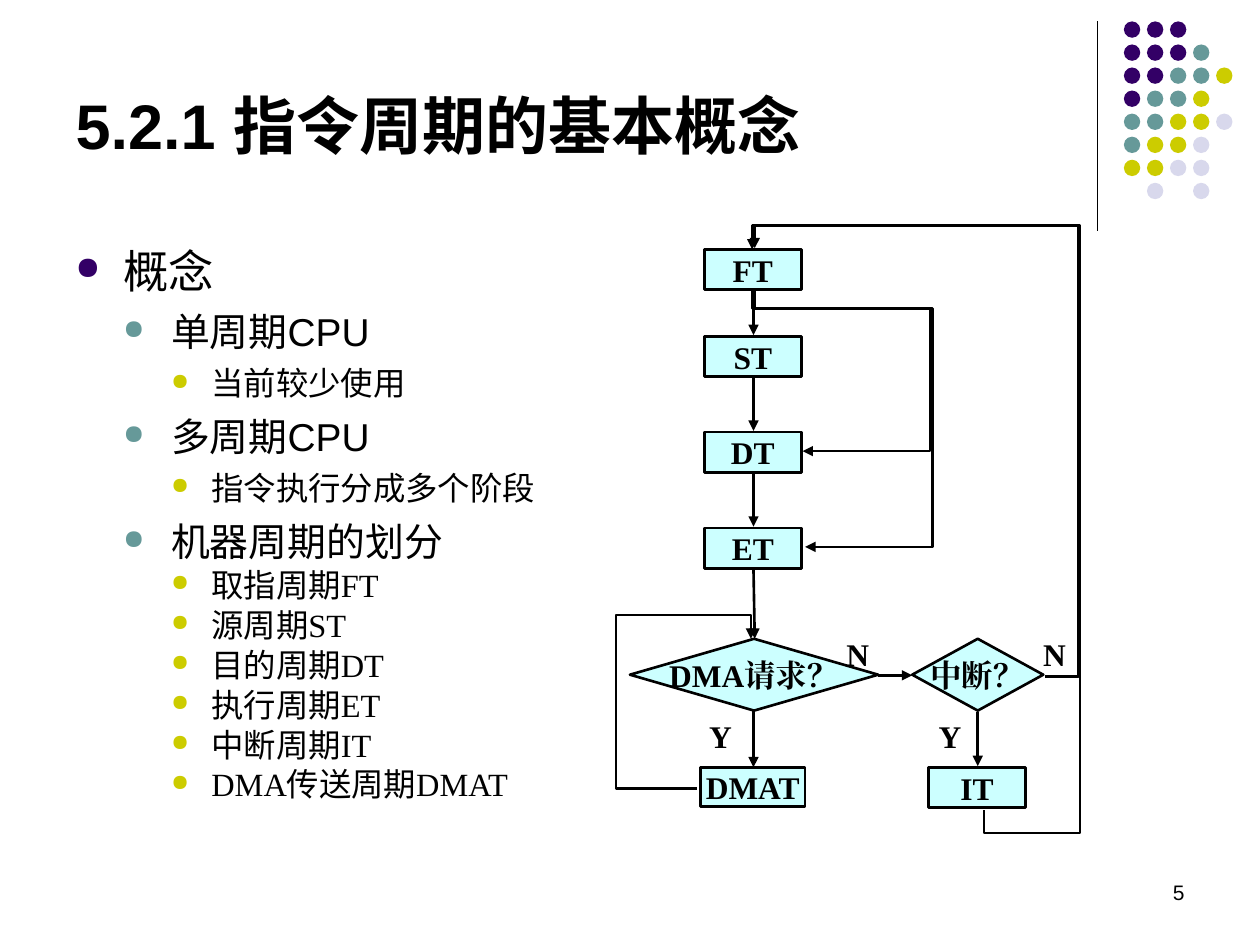
from lxml.etree import SubElement
from pptx import Presentation
from pptx.dml.color import RGBColor
from pptx.enum.shapes import MSO_CONNECTOR, MSO_SHAPE
from pptx.enum.text import MSO_ANCHOR, PP_ALIGN
from pptx.oxml.ns import qn
from pptx.util import Inches, Pt

SANS = "Arial"
SERIF = "Times New Roman"
HAN = "Noto Sans CJK SC"
BLACK = "000000"
HUES = {"P": "330066", "T": "669999", "Y": "CCCC00", "L": "D8D8EC"}
DOTS = ["PPP", "PPPT", "PPTTY", "PTTY", "TTYYL", "TYYL", "YYLL", " L L"]
LEVELS = [
    (0.38, 0.38, 25.9, 7, "P"),
    (0.76, 0.38, 22.2, 6, "T"),
    (1.08, 0.32, 18.5, 5, "Y"),
]
ITEMS = [
    (0, "概念"),
    (1, "单周期CPU"),
    (2, "当前较少使用"),
    (1, "多周期CPU"),
    (2, "指令执行分成多个阶段"),
    (1, "机器周期的划分"),
]
STAGES = [
    ("", "取指周期", "FT"),
    ("", "源周期", "ST"),
    ("", "目的周期", "DT"),
    ("", "执行周期", "ET"),
    ("", "中断周期", "IT"),
    ("DMA", "传送周期", "DMAT"),
]
BOXES = [
    ("FT", 5.59, 1.98, 0.77, 0.32),
    ("ST", 5.59, 2.67, 0.77, 0.32),
    ("DT", 5.59, 3.43, 0.77, 0.32),
    ("ET", 5.59, 4.19, 0.77, 0.32),
    ("IT", 7.37, 6.09, 0.77, 0.32),
    ("DMAT", 5.56, 6.09, 0.83, 0.31),
]
TESTS = [("DMA请求？", 5, 5.07, 1.97, 0.57), ("中断？", 7.24, 5.07, 1.04, 0.57)]
ARROWS = [
    (5.98, 2.31, 5.98, 2.66),
    (5.98, 3, 5.98, 3.42),
    (5.98, 3.76, 5.98, 4.18),
    (5.98, 4.51, 5.99, 5.07),
    (5.98, 5.64, 5.98, 6.09),
    (6.97, 5.36, 7.24, 5.36),
    (7.76, 5.65, 7.76, 6.08),
]
ROUTES = [
    [(5.53, 6.26), (4.89, 6.26), (4.89, 4.88), (5.96, 4.88), (5.96, 5.07)],
    [(8.29, 5.37), (8.56, 5.37), (8.56, 1.79), (5.97, 1.79), (5.97, 1.98)],
    [(7.81, 6.43), (7.81, 6.61), (8.57, 6.61), (8.57, 1.79), (5.99, 1.79),
     (5.99, 1.97)],
    [(5.97, 2.29), (5.97, 2.45), (7.38, 2.45), (7.38, 3.58), (6.37, 3.58)],
    [(5.99, 2.29), (5.99, 2.45), (7.4, 2.45), (7.4, 4.34), (6.39, 4.34)],
]
LABELS = [
    ("Y", 5.53, 5.64, 0.33),
    ("Y", 7.35, 5.64, 0.35),
    ("N", 6.62, 4.99, 0.43),
    ("N", 8.18, 4.99, 0.27),
]


def paint(code):
    return RGBColor.from_string(code)


def style(run, size, face, bold=False, east=None):
    font = run.font
    font.size = Pt(size)
    font.bold = bold
    font.name = face
    font.color.rgb = paint(BLACK)
    SubElement(run._r.get_or_add_rPr(), qn("a:ea"), typeface=east or face)


def write(shape, text, size, face, bold=False, align=PP_ALIGN.LEFT, wrap=True,
          anchor=MSO_ANCHOR.MIDDLE):
    frame = shape.text_frame
    frame.text = text
    frame.word_wrap = wrap
    frame.vertical_anchor = anchor
    para = frame.paragraphs[0]
    para.alignment = align
    style(para.runs[0], size, face, bold)


def place(shape, x, y, w, h):
    shape.left, shape.top = Inches(x), Inches(y)
    shape.width, shape.height = Inches(w), Inches(h)


def add_label(shapes, text, x, y, w, h, size, face, **more):
    box = shapes.add_textbox(Inches(x), Inches(y), Inches(w), Inches(h))
    write(box, text, size, face, **more)


def add_dots(shapes):
    group = shapes.add_group_shape()
    for row, marks in enumerate(DOTS):
        for col, mark in enumerate(marks):
            if mark == " ":
                continue
            dot = group.shapes.add_shape(
                MSO_SHAPE.OVAL, Inches(8.92 + 0.183 * col),
                Inches(0.17 + 0.183 * row), Inches(0.13), Inches(0.13))
            dot.shadow.inherit = False
            dot.fill.solid()
            dot.fill.fore_color.rgb = paint(HUES[mark])
            dot.line.fill.background()


def add_node(shapes, kind, text, x, y, w, h):
    node = shapes.add_shape(kind, Inches(x), Inches(y), Inches(w), Inches(h))
    node.shadow.inherit = False
    node.fill.solid()
    node.fill.fore_color.rgb = paint("CCFFFF")
    node.line.color.rgb = paint(BLACK)
    node.line.width = Pt(1.5)
    write(node, text, 18, SERIF, True, PP_ALIGN.CENTER, False)


def ink(shape, width, arrow):
    shape.line.color.rgb = paint(BLACK)
    shape.line.width = Pt(width)
    if arrow:
        line = shape._element.spPr.find(qn("a:ln"))
        SubElement(line, qn("a:tailEnd"), type="triangle")


def add_line(shapes, ends, width=1.5, arrow=True):
    line = shapes.add_connector(MSO_CONNECTOR.STRAIGHT, *map(Inches, ends))
    ink(line, width, arrow)
    SubElement(line._element.spPr, qn("a:effectLst"))


def add_route(shapes, points):
    spots = [(Inches(x), Inches(y)) for x, y in points]
    build = shapes.build_freeform(*spots[0])
    build.add_line_segments(spots[1:], close=False)
    route = build.convert_to_shape()
    route.shadow.inherit = False
    route.fill.background()
    ink(route, 1.5, True)


def add_point(frame, level, parts, first=False, tight=False):
    left, hang, size, gap, hue = LEVELS[level]
    para = frame.paragraphs[0] if first else frame.add_paragraph()
    para.level = level
    if not first:
        para.space_before = Pt(gap)
    if tight:
        para.line_spacing = 0.8
    props = para._p.get_or_add_pPr()
    props.set("marL", str(Inches(left)))
    props.set("indent", str(-Inches(hang)))
    color = SubElement(props, qn("a:buClr"))
    SubElement(color, qn("a:srgbClr"), val=HUES[hue])
    SubElement(props, qn("a:buSzPct"), val="70000")
    SubElement(props, qn("a:buChar"), char="●")
    for text, face in parts:
        if text:
            run = para.add_run()
            run.text = text
            style(run, size, face, east=SANS)


def add_list(shapes):
    box = shapes.add_textbox(Inches(0.5), Inches(1.88), Inches(9), Inches(4.82))
    frame = box.text_frame
    frame.word_wrap = True
    for rank, (level, text) in enumerate(ITEMS):
        add_point(frame, level, [(text, SANS)], first=rank == 0)
    for lead, name, code in STAGES:
        parts = [(lead, SERIF), (name, HAN), (code, SERIF)]
        add_point(frame, 2, parts, tight=True)


def main():
    deck = Presentation()
    deck.slide_width, deck.slide_height = Inches(10), Inches(7.5)
    slide = deck.slides.add_slide(deck.slide_layouts[5])
    shapes = slide.shapes
    add_line(shapes, (8.71, 0.17, 8.71, 1.83), 0.75, False)
    add_dots(shapes)
    place(shapes.title, 0.5, 0.28, 8.25, 1.42)
    write(shapes.title, "5.2.1 指令周期的基本概念", 36, SANS, True)
    add_list(shapes)
    add_label(shapes, "5", 7.17, 6.83, 2.33, 0.5, 12, SANS,
              align=PP_ALIGN.RIGHT)
    for box in BOXES:
        add_node(shapes, MSO_SHAPE.FLOWCHART_PROCESS, *box)
    for test in TESTS:
        add_node(shapes, MSO_SHAPE.FLOWCHART_DECISION, *test)
    for ends in ARROWS:
        add_line(shapes, ends)
    for points in ROUTES:
        add_route(shapes, points)
    for text, x, y, w in LABELS:
        add_label(shapes, text, x, y, w, 0.4, 18, SERIF, bold=True,
                  anchor=MSO_ANCHOR.TOP)
    deck.save("out.pptx")


if __name__ == "__main__":
    main()
